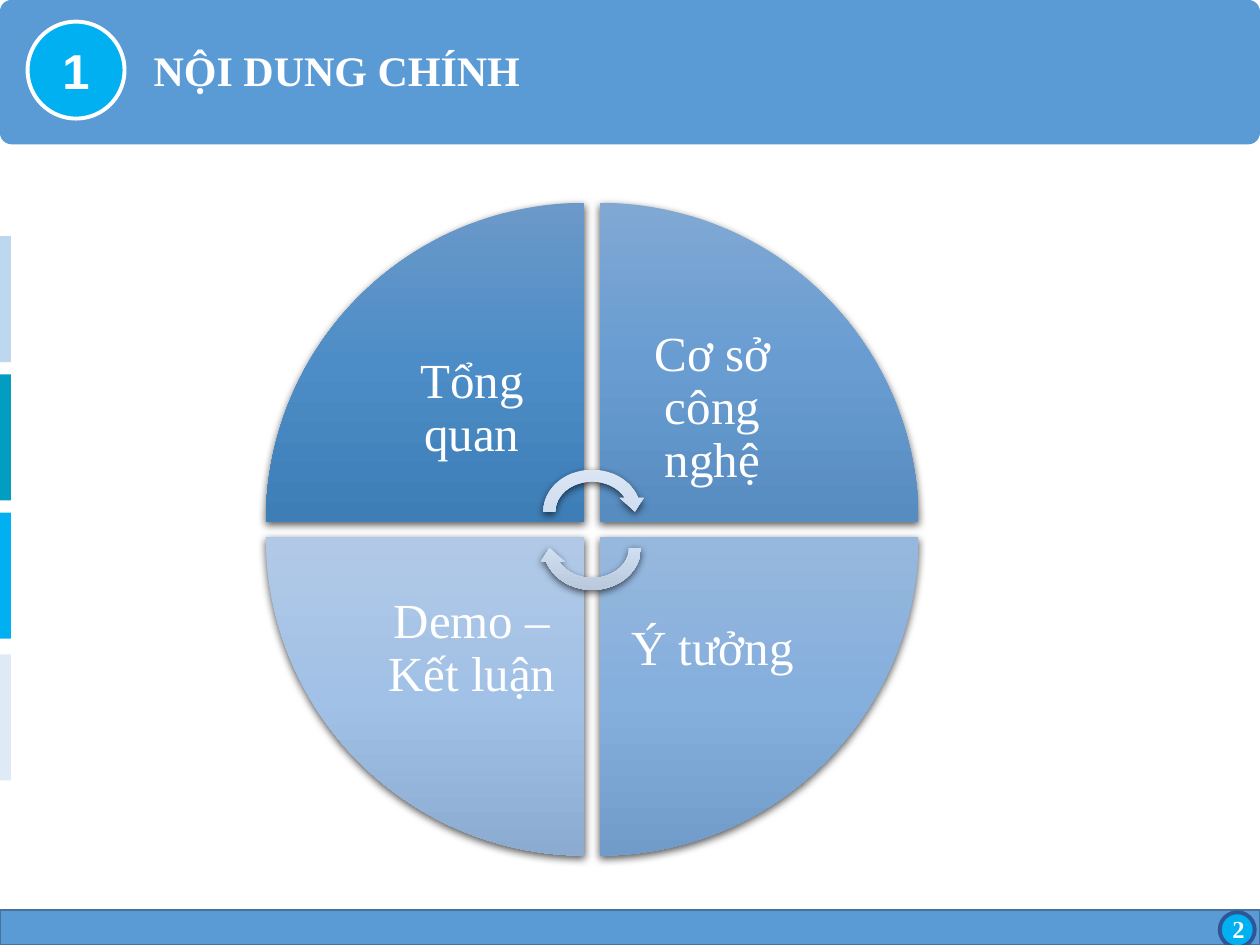
from lxml.etree import SubElement
from pptx import Presentation
from pptx.dml.color import RGBColor
from pptx.enum.shapes import MSO_SHAPE
from pptx.enum.text import MSO_ANCHOR, MSO_AUTO_SIZE, PP_ALIGN
from pptx.oxml import parse_xml
from pptx.oxml.ns import nsdecls, qn
from pptx.util import Pt

TITLE = "NỘI DUNG CHÍNH"
SECTION, PAGE = "1", "2"
# text, column, row, rotation, gradient from top to bottom
WEDGES = [
    ("Tổng quan", 0, 0, 0, ("6B99C9", "4D8DC7", "3E7EB7")),
    ("Cơ sở công nghệ", 1, 0, 90, ("80A8D3", "699DD2", "578CC0")),
    ("Ý tưởng", 1, 1, 180, ("97B8DE", "85AFDC", "719BC9")),
    ("Demo – Kết luận", 0, 1, 270, ("B1C9E7", "A2C1E6", "8CABD1")),
]
ARROWS = [(265, 0), (285.8, 180)]  # top, rotation
SIDE_BARS = [(135, "BDD7EE"), (214, "029DC1"), (293, "00B0F0"), (374, "DEEBF7")]

THEME = {
    "font": "Times New Roman", "badge_font": "Arial",
    "title": 24, "label": 28, "page": 14,
    "bar": "5B9BD5", "bar_line": "43739E", "badge": "00B0F0",
    "page_line": "2F5597", "white": "FFFFFF",
    "arrow": ("DBE5F3", "D0DEF1", "B6C5D9"),
}
WIDTH, HEIGHT = 720, 540
PIE_LEFT, PIE_TOP, WEDGE, GAP = 151.9, 115.9, 182.2, 8.6
LABEL, INSET = 128.9, 16
ARROW_W, ARROW_H = 62.6, 54.7


def rgb(name):
    return RGBColor.from_string(THEME.get(name, name))


def add_shape(s, kind, box, fill=None, line=None, weight=1, rotation=0):
    sp = s.shapes.add_shape(kind, *map(Pt, box))
    sp.shadow.inherit = False
    sp.rotation = rotation
    if fill:
        sp.fill.solid()
        sp.fill.fore_color.rgb = rgb(fill)
    if line:
        sp.line.color.rgb = rgb(line)
        sp.line.width = Pt(weight)
    else:
        sp.line.fill.background()
    return sp


def set_text(sp, text, size, font="font", bold=True, align=PP_ALIGN.CENTER,
             inset=None, spacing=None):
    tf = sp.text_frame
    tf.word_wrap = True
    tf.auto_size = MSO_AUTO_SIZE.NONE
    tf.vertical_anchor = MSO_ANCHOR.MIDDLE
    if inset is not None:
        tf.margin_left = tf.margin_right = Pt(inset)
        tf.margin_top = tf.margin_bottom = Pt(inset)
    tf.text = text
    p = tf.paragraphs[0]
    p.alignment = align
    p.line_spacing = spacing
    p.font.name, p.font.size = THEME[font], Pt(THEME[size])
    p.font.bold, p.font.color.rgb = bold, rgb("white")


def add_glossy(s, kind, box, rotation, colors):
    """Add a shape whose vertical gradient and shadow stay upright when it turns."""
    sp = add_shape(s, kind, box, rotation=rotation)
    stops = "".join(
        f'<a:gs pos="{i * 50000}"><a:srgbClr val="{c}"/></a:gs>'
        for i, c in enumerate(colors))
    grad = parse_xml(
        f'<a:gradFill {nsdecls("a")} rotWithShape="0"><a:gsLst>{stops}</a:gsLst>'
        '<a:lin ang="5400000" scaled="0"/></a:gradFill>')
    props = sp._element.spPr
    props.find(qn("a:prstGeom")).addnext(grad)
    shadow = SubElement(
        props.find(qn("a:effectLst")), qn("a:outerShdw"),
        blurRad=str(Pt(4.5)), dist=str(Pt(1.5)), dir="5400000",
        algn="ctr", rotWithShape="0")
    color = SubElement(shadow, qn("a:srgbClr"), val="000000")
    SubElement(color, qn("a:alpha"), val="63000")


def add_frame(s):
    add_shape(s, MSO_SHAPE.RECTANGLE, (0, 520, WIDTH, 20), "bar", "bar_line")
    header = add_shape(s, MSO_SHAPE.ROUNDED_RECTANGLE, (0, 0, WIDTH, 82.5), "bar")
    header.adjustments[0] = 0.08
    for top, color in SIDE_BARS:
        add_shape(s, MSO_SHAPE.RECTANGLE, (0, top, 6.3, 72), color)

    add_shape(s, MSO_SHAPE.OVAL, (697, 521.3, 20, 20), "badge", "page_line", 2.25)
    page = s.shapes.add_textbox(*map(Pt, (689, 518.6, 37.4, 24.2)))
    set_text(page, PAGE, "page")
    badge = add_shape(s, MSO_SHAPE.OVAL, (15.8, 12.4, 55.4, 55.4),
                      "badge", "white", 2.25)
    set_text(badge, SECTION, "label", font="badge_font")

    title = s.shapes.title
    s.shapes._spTree.append(title._element)  # in front of the header
    title.left, title.top, title.width, title.height = map(Pt, (80.6, 21.6, 385.2, 36))
    title.fill.solid()
    title.fill.fore_color.rgb = rgb("bar")
    set_text(title, TITLE, "title", align=PP_ALIGN.LEFT)


def add_cycle(s):
    pitch = WEDGE + GAP
    for text, col, row, rotation, colors in WEDGES:
        x, y = PIE_LEFT + col * pitch, PIE_TOP + row * pitch
        add_glossy(s, MSO_SHAPE.PIE_WEDGE, (x, y, WEDGE, WEDGE), rotation, colors)
        # labels sit in the corner of the wedge nearest the centre
        shift = WEDGE - LABEL
        box = (x + (1 - col) * shift, y + (1 - row) * shift, LABEL, LABEL)
        label = s.shapes.add_textbox(*map(Pt, box))
        set_text(label, text, "label", bold=False, inset=INSET, spacing=0.9)
    center = PIE_LEFT + WEDGE + GAP / 2
    for top, rotation in ARROWS:
        add_glossy(s, MSO_SHAPE.CIRCULAR_ARROW,
                   (center - ARROW_W / 2, top, ARROW_W, ARROW_H),
                   rotation, THEME["arrow"])


def main():
    prs = Presentation()
    prs.slide_width, prs.slide_height = Pt(WIDTH), Pt(HEIGHT)
    s = prs.slides.add_slide(prs.slide_layouts[5])
    add_frame(s)
    add_cycle(s)
    prs.save("out.pptx")


if __name__ == "__main__":
    main()
